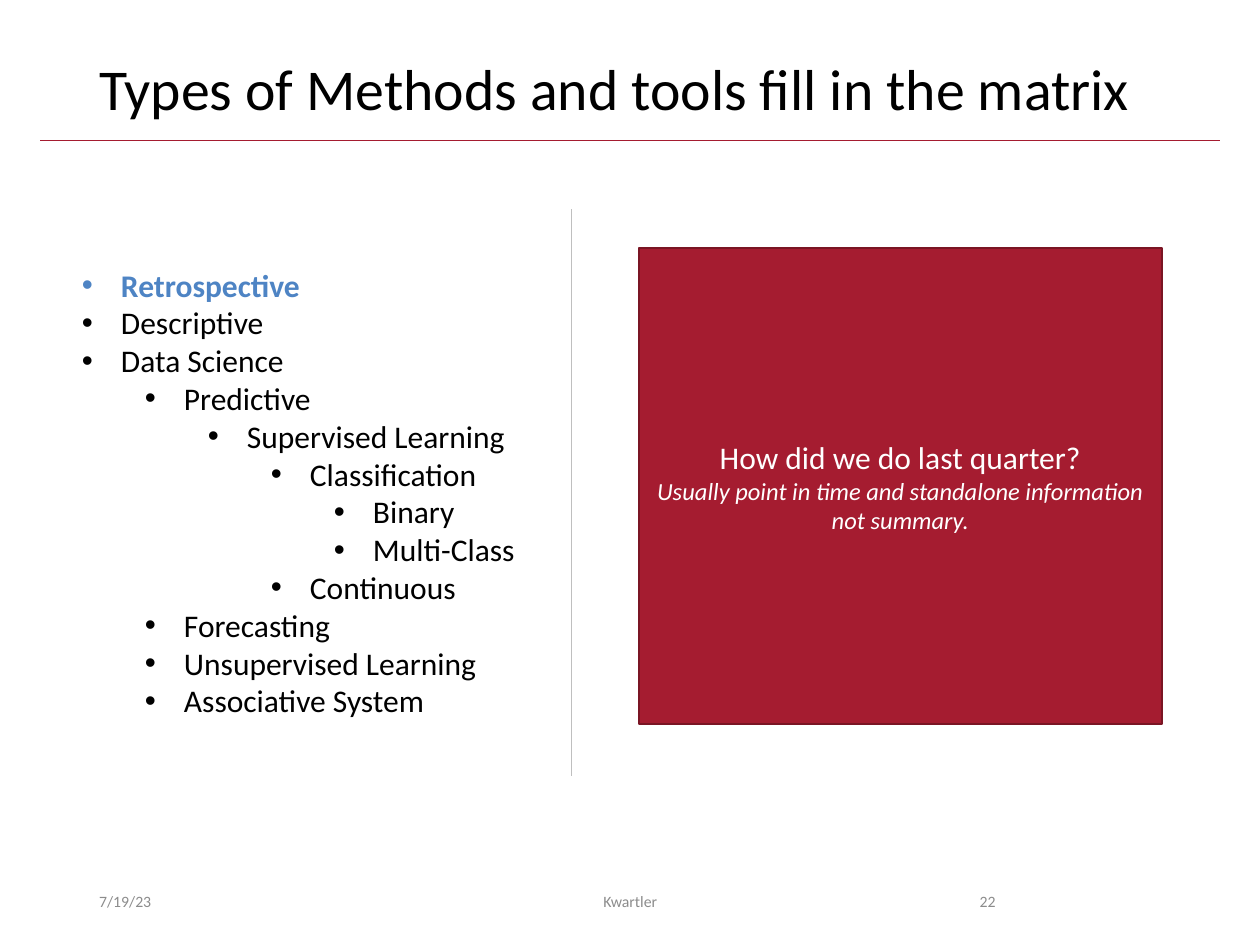
from lxml.etree import SubElement
from pptx import Presentation
from pptx.dml.color import RGBColor
from pptx.enum.shapes import MSO_CONNECTOR, MSO_SHAPE
from pptx.enum.text import MSO_ANCHOR, MSO_AUTO_SIZE, PP_ALIGN
from pptx.oxml.ns import qn
from pptx.util import Cm, Pt

BLACK = RGBColor(0x00, 0x00, 0x00)
WHITE = RGBColor(0xFF, 0xFF, 0xFF)
GREY = RGBColor(0x8C, 0x8C, 0x8C)
SILVER = RGBColor(0xBF, 0xBF, 0xBF)
RED = RGBColor(0xA5, 0x1C, 0x30)
WINE = RGBColor(0x7A, 0x15, 0x24)
BLUE = RGBColor(0x4E, 0x84, 0xC4)

HANG, STEP = 0.79, 1.27

# Text, list level, indent steps
METHODS = [
    ("Retrospective", 0, 0),
    ("Descriptive", 0, 0),
    ("Data Science", 0, 0),
    ("Predictive", 1, 1),
    ("Supervised Learning", 2, 2),
    ("Classification", 3, 3),
    ("Binary", 4, 4),
    ("Multi-Class", 4, 4),
    ("Continuous", 3, 3),
    ("Forecasting", 1, 1),
    ("Unsupervised Learning", 2, 1),
    ("Associative System", 1, 1),
]

# Text, left, width, alignment
FOOTER = [
    ("7/19/23", 1.75, 5.72, PP_ALIGN.LEFT),
    ("Kwartler", 8.41, 8.59, PP_ALIGN.CENTER),
    ("22", 17.93, 2.39, PP_ALIGN.RIGHT),
]


class Deck:
    """Holds the text style and the current slide."""

    font = "Calibri"

    def __init__(self, wide, high):
        self.prs = Presentation()
        self.prs.slide_width, self.prs.slide_height = Cm(wide), Cm(high)
        self.slide = self.prs.slides.add_slide(self.prs.slide_layouts[6])

    def run(self, para, text, size, color, bold=False, italic=False):
        run = para.add_run()
        run.text = text
        font = run.font
        font.name, font.size = self.font, Pt(size)
        font.bold, font.italic = bold, italic
        font.color.rgb = color

    def box(self, left, top, wide, high, anchor=MSO_ANCHOR.MIDDLE):
        """Adds an empty text box and returns its frame."""
        shape = self.slide.shapes.add_textbox(Cm(left), Cm(top), Cm(wide), Cm(high))
        frame = shape.text_frame
        frame.word_wrap = True
        frame.vertical_anchor = anchor
        return frame

    def label(self, text, place, size, color, align=PP_ALIGN.LEFT, space=None):
        para = self.box(*place).paragraphs[0]
        para.alignment = align
        para.line_spacing = space
        self.run(para, text, size, color)

    def line(self, x1, y1, x2, y2, color):
        line = self.slide.shapes.add_connector(
            MSO_CONNECTOR.STRAIGHT, Cm(x1), Cm(y1), Cm(x2), Cm(y2))
        line.line.color.rgb = color
        line.line.width = Pt(0.5)
        SubElement(line._element.spPr, qn("a:effectLst"))

    def panel(self, left, top, wide, high, head, note):
        rect = self.slide.shapes.add_shape(
            MSO_SHAPE.RECTANGLE, Cm(left), Cm(top), Cm(wide), Cm(high))
        rect.shadow.inherit = False
        rect.fill.solid()
        rect.fill.fore_color.rgb = RED
        rect.line.color.rgb = WINE
        rect.line.width = Pt(1)
        frame = rect.text_frame
        frame.word_wrap = True
        frame.vertical_anchor = MSO_ANCHOR.MIDDLE
        self.run(frame.paragraphs[0], head, 18, WHITE)
        self.run(frame.add_paragraph(), note, 14, WHITE, italic=True)
        for para in frame.paragraphs:
            para.alignment = PP_ALIGN.CENTER

    def bullets(self, place, items, active):
        """Adds a nested list with the active item in bold blue."""
        frame = self.box(*place, anchor=MSO_ANCHOR.TOP)
        frame.word_wrap = False
        frame.auto_size = MSO_AUTO_SIZE.SHAPE_TO_FIT_TEXT
        for i, (text, level, depth) in enumerate(items):
            para = frame.add_paragraph() if i else frame.paragraphs[0]
            para.level = level
            props = para._p.get_or_add_pPr()
            props.set("marL", str(Cm(HANG + depth * STEP)))
            props.set("indent", str(-Cm(HANG)))
            SubElement(props, qn("a:buFont"), typeface="Arial")
            SubElement(props, qn("a:buChar"), char="•")
            hot = text == active
            self.run(para, text, 18, BLUE if hot else BLACK, bold=hot)


def main():
    deck = Deck(25.4, 19.05)
    deck.line(0.81, 2.84, 24.59, 2.84, RED)
    deck.label("Types of Methods and tools fill in the matrix",
               (1.75, 1.02, 21.9, 1.65), 33, BLACK, space=0.9)
    deck.panel(12.88, 5, 10.54, 9.6, "How did we do last quarter?",
               "Usually point in time and standalone information not summary.")
    deck.bullets((1.4, 5.23, 9.32, 10.26), METHODS, "Retrospective")
    deck.line(11.51, 4.22, 11.51, 15.65, SILVER)
    for text, left, wide, align in FOOTER:
        deck.label(text, (left, 17.65, wide, 1.02), 9, GREY, align)
    deck.prs.save("out.pptx")


if __name__ == "__main__":
    main()
